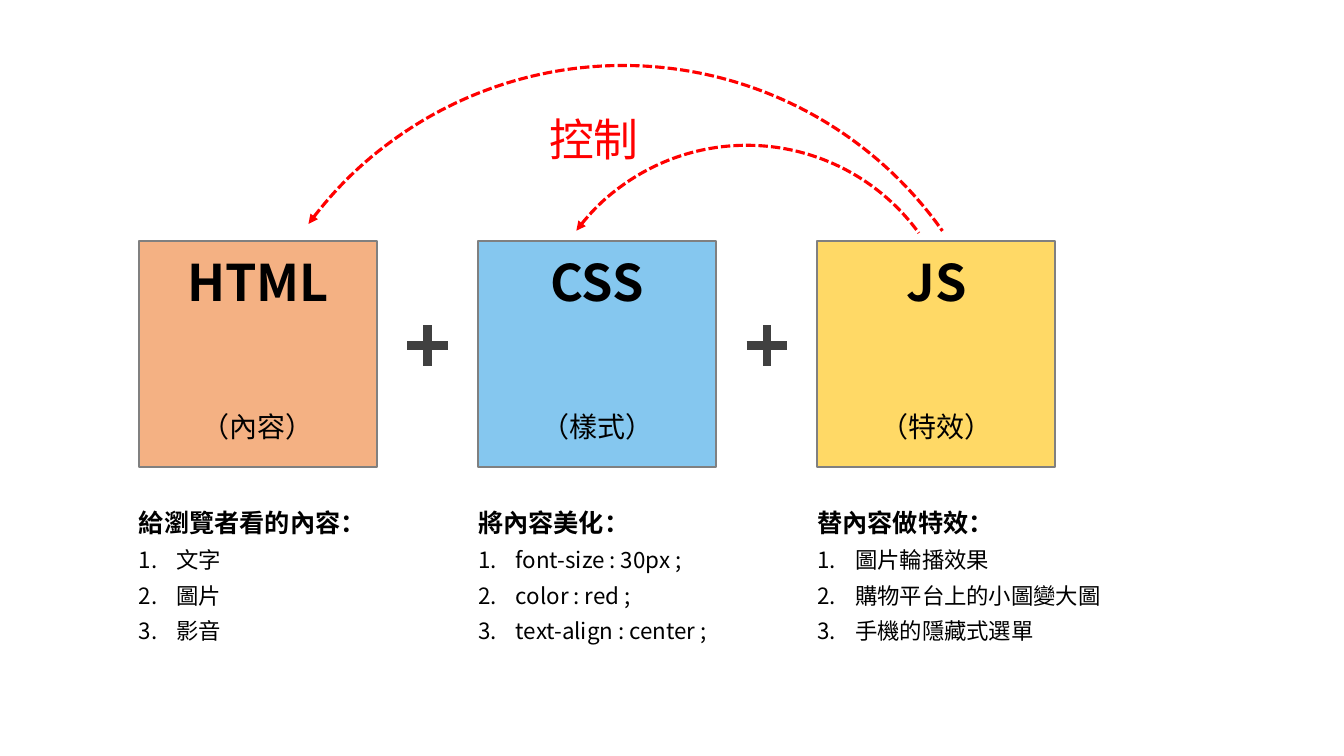
import pptx
from pptx.dml.color import RGBColor
from pptx.enum.dml import MSO_LINE
from pptx.enum.shapes import MSO_CONNECTOR, MSO_SHAPE
from pptx.enum.text import MSO_ANCHOR, MSO_AUTO_SIZE, PP_ALIGN
from pptx.oxml.ns import qn
from pptx.util import Cm, Pt

FONT = "Noto Sans CJK SC"
BLACK = RGBColor(0x00, 0x00, 0x00)
RED = RGBColor(0xFF, 0x00, 0x00)
GREY = RGBColor(0x80, 0x80, 0x80)
DARK_GREY = RGBColor(0x40, 0x40, 0x40)
ORANGE = RGBColor(0xF4, 0xB1, 0x83)
BLUE = RGBColor(0x85, 0xC7, 0xEF)
YELLOW = RGBColor(0xFF, 0xD9, 0x66)

# Content: name, role, fill, heading, items, list width in cm
COLUMNS = [
    ("HTML", "（內容）", ORANGE, "給瀏覽者看的內容：", ["文字", "圖片", "影音"], 6.6),
    ("CSS", "（樣式）", BLUE, "將內容美化：",
     ["font-size : 30px ;", "color : red ;", "text-align : center ;"], 6.6),
    ("JS", "（特效）", YELLOW, "替內容做特效：",
     ["圖片輪播效果", "購物平台上的小圖變大圖", "手機的隱藏式選單"], 7.92),
]
CONTROL_LABEL = "控制"
# Arcs: centre x, centre y, radius in cm, start and end angle in degrees
ARCS = [(18.82, 9.02, 5.36, 281.75, 29.03), (15.7, 11.51, 9.86, 281.52, 29.75)]
ARC_ROTATION = 295

# Layout in cm
LEFT, PITCH = 3.5, 8.55
BOX_TOP, BOX_WIDTH, BOX_HEIGHT = 6.07, 6.0, 5.69
PLUS_Y, PLUS_ARM = 8.71, 0.51
LIST_TOP, LIST_HEIGHT, INSET = 12.67, 3.71, 0.25
NUMBER_INDENT = Cm(0.95)


def write(paragraph, text, size, bold=False, color=BLACK):
    paragraph.text = text
    font = paragraph.font
    font.size, font.bold, font.name = Pt(size), bold, FONT
    font.color.rgb = color
    east_asian = font._element.makeelement(qn("a:ea"), {"typeface": FONT})
    font._element.find(qn("a:latin")).addnext(east_asian)


def number(paragraph):
    properties = paragraph._p.get_or_add_pPr()
    properties.set("marL", str(NUMBER_INDENT))
    properties.set("indent", str(-NUMBER_INDENT))
    bullet = properties.makeelement(qn("a:buAutoNum"), {"type": "arabicPeriod"})
    properties.find(qn("a:defRPr")).addprevious(bullet)


def add_text_box(slide, left, top, width, height):
    box = slide.shapes.add_textbox(Cm(left), Cm(top), Cm(width), Cm(height))
    box.text_frame.word_wrap = True
    box.text_frame.auto_size = MSO_AUTO_SIZE.SHAPE_TO_FIT_TEXT
    return box.text_frame


def add_box(slide, left, name, role, fill):
    box = slide.shapes.add_shape(MSO_SHAPE.RECTANGLE, Cm(left), Cm(BOX_TOP),
                                 Cm(BOX_WIDTH), Cm(BOX_HEIGHT))
    box.shadow.inherit = False
    box.fill.solid()
    box.fill.fore_color.rgb = fill
    box.line.color.rgb = GREY
    box.line.width = Pt(1.5)
    frame = box.text_frame
    frame.word_wrap = True
    frame.vertical_anchor = MSO_ANCHOR.MIDDLE
    frame.margin_top, frame.margin_bottom = Cm(0), Cm(0.13)
    title, caption = frame.paragraphs[0], frame.add_paragraph()
    write(title, name, 36, bold=True)
    write(caption, role, 20)
    for paragraph, space in ((title, 10), (caption, 72)):
        paragraph.alignment = PP_ALIGN.CENTER
        paragraph.line_spacing = 0.9
        paragraph.space_before = Pt(space)


def add_list(slide, left, width, heading, items):
    frame = add_text_box(slide, left, LIST_TOP, width, LIST_HEIGHT)
    write(frame.paragraphs[0], heading, 18, bold=True)
    for item in items:
        paragraph = frame.add_paragraph()
        write(paragraph, item, 16)
        number(paragraph)
    for paragraph in frame.paragraphs:
        paragraph.space_after = Pt(6)


def add_plus(slide, x, y):
    for dx, dy in ((0, PLUS_ARM), (PLUS_ARM, 0)):
        bar = slide.shapes.add_connector(MSO_CONNECTOR.STRAIGHT, Cm(x - dx), Cm(y - dy),
                                         Cm(x + dx), Cm(y + dy))
        bar.line.color.rgb = DARK_GREY
        bar.line.width = Pt(6)
        properties = bar._element.spPr
        properties.append(properties.makeelement(qn("a:effectLst"), {}))


def add_arc(slide, x, y, radius, start, end):
    arc = slide.shapes.add_shape(MSO_SHAPE.ARC, Cm(x - radius), Cm(y - radius),
                                 Cm(2 * radius), Cm(2 * radius))
    arc.shadow.inherit = False
    # Angles are stored in 60000ths of a degree, adjustments in 100000ths
    arc.adjustments[0], arc.adjustments[1] = start * 0.6, end * 0.6
    arc.rotation = ARC_ROTATION
    arc.fill.background()
    arc.line.color.rgb = RED
    arc.line.width = Pt(2.25)
    arc.line.dash_style = MSO_LINE.SQUARE_DOT
    line = arc.line._get_or_add_ln()
    line.append(line.makeelement(qn("a:headEnd"), {"type": "triangle"}))


def main():
    presentation = pptx.Presentation()
    presentation.slide_width, presentation.slide_height = Cm(33.87), Cm(19.05)
    slide = presentation.slides.add_slide(presentation.slide_layouts[6])

    # Boxes with their lists, and a plus in each gap
    for index, (name, role, fill, heading, items, width) in enumerate(COLUMNS):
        left = LEFT + index * PITCH
        add_box(slide, left, name, role, fill)
        add_list(slide, left - INSET, width, heading, items)
        if index:
            add_plus(slide, left - (PITCH - BOX_WIDTH) / 2, PLUS_Y)

    # Control arrows and their label
    for arc in ARCS:
        add_arc(slide, *arc)
    label = add_text_box(slide, 13.59, 2.69, 2.92, 1.63)
    write(label.paragraphs[0], CONTROL_LABEL, 32, color=RED)

    presentation.save("out.pptx")


if __name__ == "__main__":
    main()
